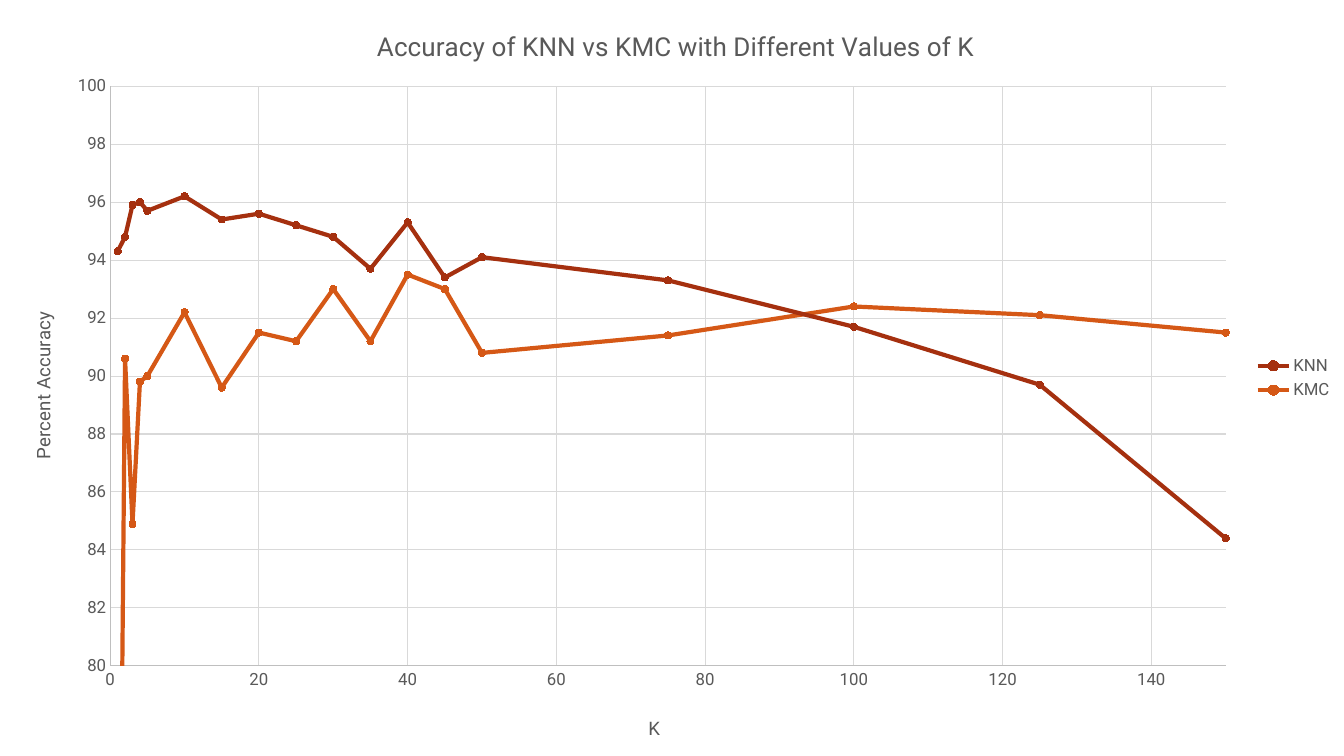
from lxml import etree
from pptx import Presentation
from pptx.chart.data import XyChartData
from pptx.dml.color import RGBColor
from pptx.enum.chart import (XL_CHART_TYPE, XL_LEGEND_POSITION,
                             XL_MARKER_STYLE, XL_TICK_MARK)
from pptx.oxml.ns import qn
from pptx.util import Pt

FONT = "Roboto"
TEXT_COLOR = "595959"


def style_font(font, size):
    font.name = FONT
    font.size = Pt(size)
    font.bold = False
    font.color.rgb = RGBColor.from_string(TEXT_COLOR)


def set_layout(element, index, **fractions):
    """Place a chart part by fractions of the chart's width and height."""
    for old_layout in element.findall(qn("c:layout")):
        element.remove(old_layout)
    layout = etree.Element(qn("c:layout"))
    manual = etree.SubElement(layout, qn("c:manualLayout"))
    if element.tag == qn("c:plotArea"):
        etree.SubElement(manual, qn("c:layoutTarget"), val="inner")
    for name in ("xMode", "yMode"):
        etree.SubElement(manual, qn(f"c:{name}"), val="edge")
    for name, value in fractions.items():
        etree.SubElement(manual, qn(f"c:{name}"), val=str(value))
    element.insert(index, layout)


presentation = Presentation()
presentation.slide_width = Pt(960)
presentation.slide_height = Pt(540)
slide = presentation.slides.add_slide(presentation.slide_layouts[6])

# Accuracy by K
k_values = [1, 2, 3, 4, 5, 10, 15, 20, 25, 30, 35, 40, 45, 50, 75, 100, 125, 150]
accuracies = {
    "KNN": [94.3, 94.8, 95.9, 96, 95.7, 96.2, 95.4, 95.6, 95.2,
            94.8, 93.7, 95.3, 93.4, 94.1, 93.3, 91.7, 89.7, 84.4],
    "KMC": [61.8, 90.6, 84.9, 89.8, 90, 92.2, 89.6, 91.5, 91.2,
            93, 91.2, 93.5, 93, 90.8, 91.4, 92.4, 92.1, 91.5],
}
chart_data = XyChartData()
for name, values in accuracies.items():
    series = chart_data.add_series(name)
    for k, accuracy in zip(k_values, values):
        series.add_data_point(k, accuracy)

# Chart over the whole slide
chart = slide.shapes.add_chart(
    XL_CHART_TYPE.XY_SCATTER_LINES, 0, 0, Pt(960), Pt(540), chart_data).chart
chart.font.name = FONT
chart.font.size = Pt(10)
plot_area = chart.plots[0]._element.getparent()
set_layout(plot_area, 0, x=0.082, y=0.114, w=0.83, h=0.767)

# Series lines and markers
for series, color in zip(chart.plots[0].series, ["A5300F", "D55816"]):
    rgb = RGBColor.from_string(color)
    series.smooth = False
    series.format.line.width = Pt(3)
    series.format.line.color.rgb = rgb
    series.marker.style = XL_MARKER_STYLE.CIRCLE
    series.marker.size = 5
    series.marker.format.fill.solid()
    series.marker.format.fill.fore_color.rgb = rgb
    series.marker.format.line.color.rgb = rgb

# Axes
for axis, low, high, step in [(chart.category_axis, 0, 150, 20),
                              (chart.value_axis, 80, 100, 2)]:
    axis.minimum_scale = low
    axis.maximum_scale = high
    axis.major_unit = step
    axis.major_tick_mark = XL_TICK_MARK.NONE
    axis.minor_tick_mark = XL_TICK_MARK.NONE
    axis.tick_labels.number_format = "General"
    axis.tick_labels.number_format_is_linked = False
    style_font(axis.tick_labels.font, 12)
    axis.has_major_gridlines = True
    for line, color in [(axis.format.line, "BFBFBF"),
                        (axis.major_gridlines.format.line, "D9D9D9")]:
        line.width = Pt(0.75)
        line.color.rgb = RGBColor.from_string(color)

# Titles
for owner, text, size, x, y in [
        (chart, "Accuracy of KNN vs KMC with Different Values of K", 18.6, 0.277, 0.033),
        (chart.category_axis, "K", 13.3, 0.48, 0.942),
        (chart.value_axis, "Percent Accuracy", 13.3, 0.02, 0.408)]:
    owner.has_title = True
    title = owner.chart_title if owner is chart else owner.axis_title
    title.text_frame.text = text
    style_font(title.text_frame.paragraphs[0].runs[0].font, size)
    set_layout(title._element, 1, x=x, y=y)
value_title = chart.value_axis.axis_title._element
value_title.find(".//" + qn("a:bodyPr")).set("rot", "-5400000")

# Legend
chart.has_legend = True
chart.legend.position = XL_LEGEND_POSITION.RIGHT
chart.legend.include_in_layout = False
style_font(chart.legend.font, 12)
set_layout(chart.legend._element, 1, x=0.93, y=0.465, w=0.065, h=0.07)

presentation.save("out.pptx")
